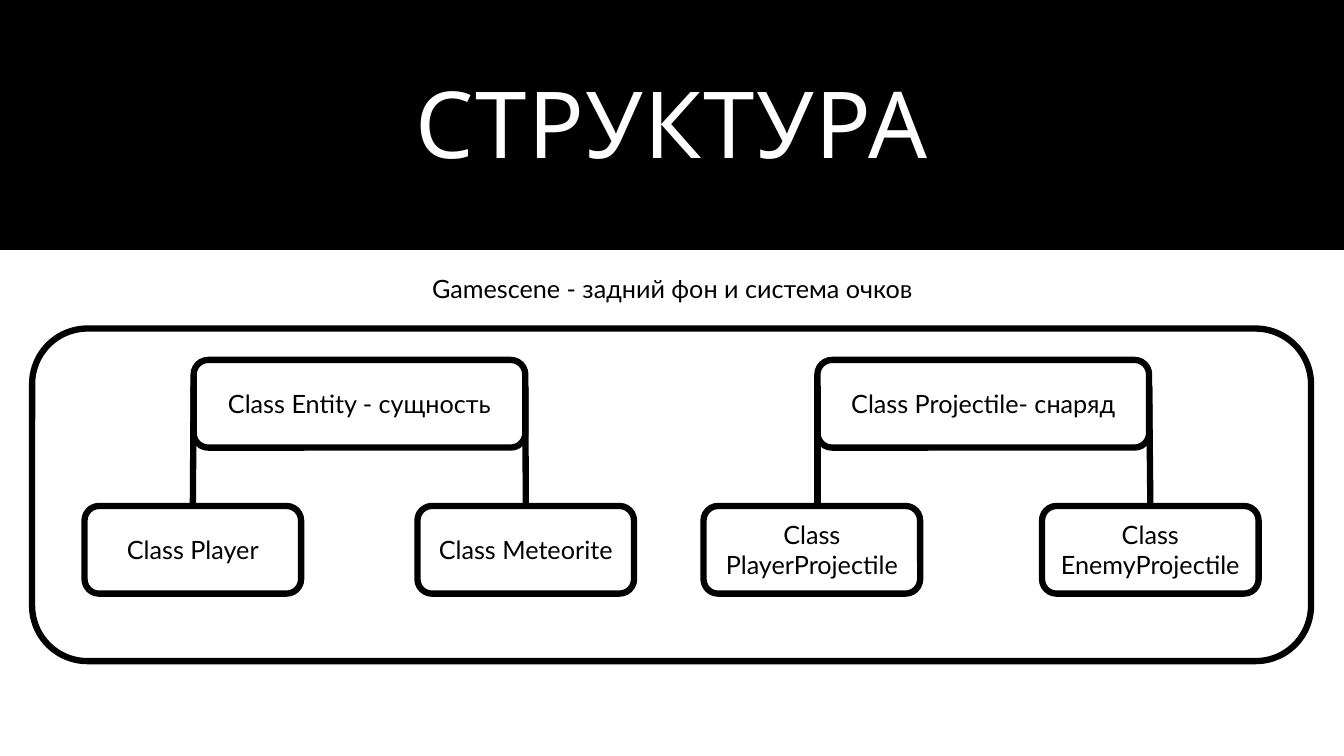
from pptx import Presentation, util as u
from pptx.dml.color import RGBColor
from pptx.enum import shapes, text
from pptx.oxml.ns import qn
from lxml import etree

BLACK, WHITE = "000000", "FFFFFF"


def color(value):
    return RGBColor.from_string(value)


class Diagram:
    """Draws the elements of one slide in a shared style."""
    font, size, line_width = "Lato", 18, 4.5

    def __init__(self, slide):
        self.slide = slide

    def set_text(self, shape, content, font=None, size=None, ink=BLACK):
        frame = shape.text_frame
        frame.text = content
        frame.word_wrap = True
        frame.vertical_anchor = text.MSO_ANCHOR.MIDDLE
        frame.margin_left = frame.margin_right = u.Cm(0.1)
        paragraph = frame.paragraphs[0]
        paragraph.alignment = text.PP_ALIGN.CENTER
        run = paragraph.runs[0]
        run.font.name = font or self.font
        run.font.size = u.Pt(size or self.size)
        run.font.color.rgb = color(ink)
        return paragraph

    def label(self, content, left, top, width, height, **style):
        area = [u.Cm(v) for v in (left, top, width, height)]
        return self.set_text(self.slide.shapes.add_textbox(*area), content, **style)

    def box(self, left, top, width, height, content=None, fill=WHITE, rounded=True):
        kind = shapes.MSO_SHAPE.ROUNDED_RECTANGLE if rounded else shapes.MSO_SHAPE.RECTANGLE
        area = [u.Cm(v) for v in (left, top, width, height)]
        shape = self.slide.shapes.add_shape(kind, *area)
        shape.shadow.inherit = False
        shape.fill.solid()
        shape.fill.fore_color.rgb = color(fill)
        if rounded:
            shape.line.color.rgb = color(BLACK)
            shape.line.width = u.Pt(self.line_width)
        else:
            shape.line.fill.background()
        if content:
            self.set_text(shape, content)
        return shape

    def branch(self, x, top, child):
        """Drops a line from x to the child, joined where it meets the middle."""
        line = self.slide.shapes.add_connector(
            shapes.MSO_CONNECTOR.STRAIGHT, u.Cm(x), u.Cm(top), u.Cm(x), child.top)
        if abs(child.left + child.width // 2 - u.Cm(x)) < u.Cm(0.1):
            line.end_connect(child, 0)
        line.line.color.rgb = color(BLACK)
        line.line.width = u.Pt(self.line_width)
        properties = line._element.find(qn("p:spPr"))
        etree.SubElement(properties, qn("a:effectLst"))


def main():
    presentation = Presentation()
    presentation.slide_width, presentation.slide_height = u.Cm(33.87), u.Cm(19.05)
    slide = presentation.slides.add_slide(presentation.slide_layouts[6])
    diagram = Diagram(slide)

    # Title band
    diagram.box(0, 0, 33.87, 6.3, fill=BLACK, rounded=False)
    title = diagram.label("СТРУКТУРА", 2.67, 0.89, 28.52, 4.72,
                          font="Cabin", size=66, ink=WHITE)
    title.line_spacing = 0.9
    title.runs[0].font._element.set("spc", "120")

    # Scene frame and caption
    diagram.box(0.81, 8.28, 32.23, 8.38)
    diagram.label("Gamescene - задний фон и система очков", 9.07, 6.76, 15.75, 1.02)

    # Base classes, each with two subclasses hanging from its sides
    parent_top, parent_width = 9.07, 8.36
    child_top, child_width, height = 12.75, 5.46, 2.21
    families = [
        ("Class Entity - сущность", 4.88,
         [("Class Player", 2.13), ("Class Meteorite", 10.52)]),
        ("Class Projectile- снаряд", 20.6,
         [("Class PlayerProjectile", 17.73), ("Class EnemyProjectile", 26.26)]),
    ]
    for parent_name, parent_left, children in families:
        diagram.box(parent_left, parent_top, parent_width, height, parent_name)
        sides = (parent_left, parent_left + parent_width)
        for side, (child_name, child_left) in zip(sides, children):
            child = diagram.box(child_left, child_top, child_width, height, child_name)
            diagram.branch(side, parent_top + 0.65, child)

    presentation.save("out.pptx")


if __name__ == "__main__":
    main()
